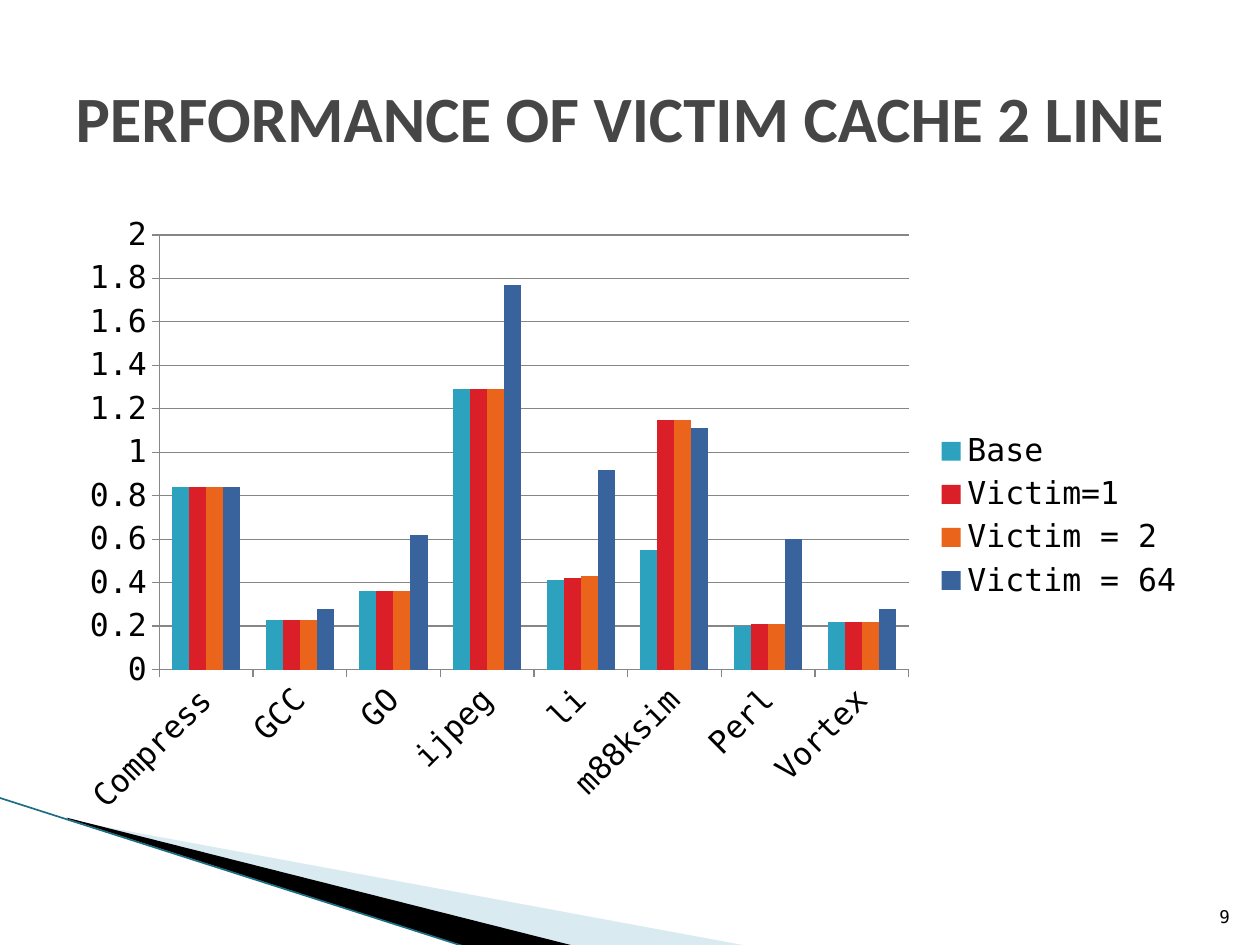
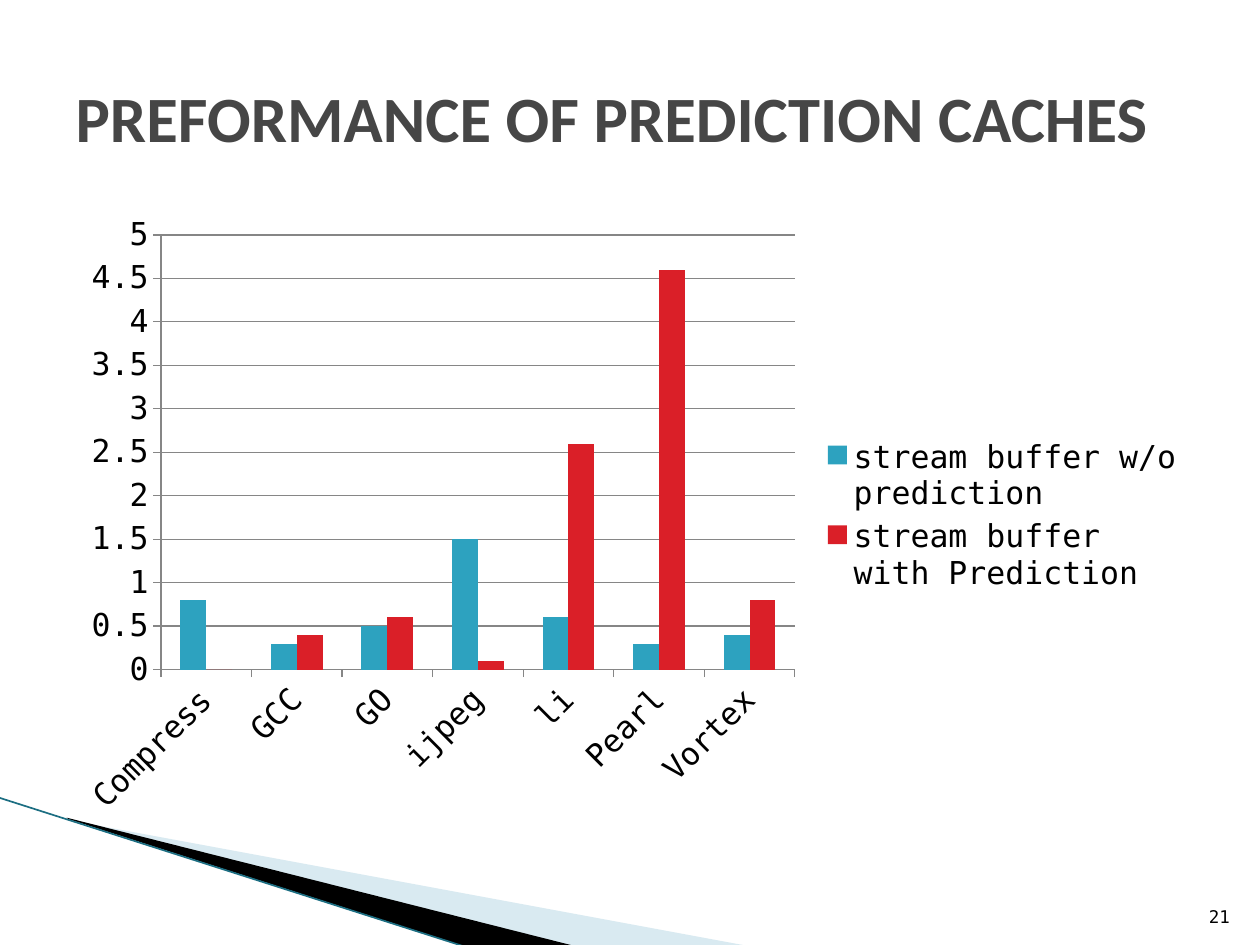
from dataclasses import dataclass

from lxml.etree import SubElement
from pptx import Presentation
from pptx.chart.data import CategoryChartData
from pptx.dml.color import RGBColor
from pptx.enum.chart import XL_CHART_TYPE as ChartType, XL_LEGEND_POSITION as LegendPos
from pptx.enum.shapes import MSO_CONNECTOR as Connector
from pptx.enum.text import MSO_ANCHOR as Anchor, MSO_AUTO_SIZE as AutoSize, PP_ALIGN as Align
from pptx.oxml.ns import qn
from pptx.util import Inches, Pt

INK, TITLE_GREY, GRID_GREY = "000000", "464646", "868686"
LINE_TEAL = "1C6E82"
SERIES_COLOURS = ["2DA2BF", "DA1F28", "EB641B", "39639D"]
TITLE_FONT = {"name": "Calibri", "size": Pt(36.9), "bold": True}
CHART_FONT = {"name": "DejaVu Sans Mono", "size": Pt(18)}
NUMBER_FONT = {"name": "DejaVu Sans Mono", "size": Pt(10)}


@dataclass(frozen=True)
class Wedge:
    box: tuple[float, float, float, float]
    points: list[tuple[float, float]]
    colour: str
    opacity: int = 100


@dataclass(frozen=True)
class ChartSlide:
    title: str
    number: int
    top: float
    step: float
    cats: list[str]
    series: dict[str, list[float]]


WEDGES = [
    Wedge((0.78, 5.47, 4.16, 1.58),
          [(0.55, 6.51), (5.95, 7.51), (4.56, 7.51), (0.55, 6.5)], "A0CBDC", 40),
    Wedge((-0.06, 6.33, 4.16, 0.92),
          [(0.53, 6.49), (4.57, 7.51), (3.72, 7.52), (0.54, 6.5)], INK),
]

SLIDES = [
    ChartSlide(
        "PERFORMANCE OF VICTIM CACHE 2 LINE", 9, 2, 0.2,
        ["Compress", "GCC", "GO", "ijpeg", "li", "m88ksim", "Perl", "Vortex"],
        {
            "Base": [0.84, 0.23, 0.36, 1.29, 0.41, 0.55, 0.2, 0.22],
            "Victim=1": [0.84, 0.23, 0.36, 1.29, 0.42, 1.15, 0.21, 0.22],
            "Victim = 2": [0.84, 0.23, 0.36, 1.29, 0.43, 1.15, 0.21, 0.22],
            "Victim = 64": [0.84, 0.28, 0.62, 1.77, 0.92, 1.11, 0.6, 0.28],
        },
    ),
    ChartSlide(
        "PREFORMANCE OF PREDICTION CACHES", 21, 5, 0.5,
        ["Compress", "GCC", "GO", "ijpeg", "li", "Pearl", "Vortex"],
        {
            "stream buffer w/o prediction": [0.8, 0.3, 0.5, 1.5, 0.6, 0.3, 0.4],
            "stream buffer with Prediction": [0, 0.4, 0.6, 0.1, 2.6, 4.6, 0.8],
        },
    ),
]


def rgb(colour: str) -> RGBColor:
    """Turn a hex string into a colour."""
    return RGBColor.from_string(colour)


def apply(target, values: dict) -> None:
    """Set every attribute named in a dict."""
    for name, value in values.items():
        setattr(target, name, value)


def set_font(font, values: dict, colour: str) -> None:
    """Format a font and give it a colour."""
    apply(font, values)
    font.color.rgb = rgb(colour)


def set_fill(fill, colour: str) -> None:
    """Give a solid fill."""
    fill.solid()
    fill.fore_color.rgb = rgb(colour)


def set_frame(sp, box: tuple[float, float, float, float]) -> None:
    """Give a freeform its own frame while its outline stays in place."""
    left, top, width, height = map(Inches, box)
    outline = next(sp._element.iter(qn("a:path")))
    for pt in outline.iter(qn("a:pt")):
        pt.set("x", str(int(pt.get("x")) + sp.left - left))
        pt.set("y", str(int(pt.get("y")) + sp.top - top))
    outline.set("w", str(width))
    outline.set("h", str(height))
    apply(sp, {"left": left, "top": top, "width": width, "height": height})


def add_wedge(s, wedge: Wedge) -> None:
    """Draw one sloping wedge of the corner band."""
    start, *rest = [(Inches(x), Inches(y)) for x, y in wedge.points]
    builder = s.shapes.build_freeform(*start, scale=1.0)
    builder.add_line_segments(rest, close=True)
    sp = builder.convert_to_shape()
    set_frame(sp, wedge.box)
    sp.shadow.inherit = False
    sp.line.fill.background()
    set_fill(sp.fill, wedge.colour)
    if wedge.opacity < 100:
        clr = sp.fill._xPr.find(qn("a:solidFill"))[0]
        SubElement(clr, qn("a:alpha")).set("val", str(wedge.opacity * 1000))


def add_band(s) -> None:
    """Draw the corner band shared by the slides."""
    for wedge in WEDGES:
        add_wedge(s, wedge)
    line = s.shapes.add_connector(
        Connector.STRAIGHT, Inches(-0.01), Inches(6.33), Inches(3.71), Inches(7.52))
    line.line.color.rgb = rgb(LINE_TEAL)
    line.line.width = Pt(0.95)
    SubElement(line._element.spPr, qn("a:effectLst"))


def add_title(s, text: str) -> None:
    """Place and format the title placeholder."""
    sp = s.shapes.title
    apply(sp, {"left": Inches(0.5), "top": Inches(0.3),
               "width": Inches(9), "height": Inches(1.25)})
    tf = sp.text_frame
    tf.text = text
    apply(tf, {"vertical_anchor": Anchor.MIDDLE, "auto_size": AutoSize.NONE, "word_wrap": True})
    p = tf.paragraphs[0]
    p.alignment = Align.LEFT
    set_font(p.runs[0].font, TITLE_FONT, TITLE_GREY)


def add_number(s, number: int) -> None:
    """Write the slide number in the lower right corner."""
    tf = s.shapes.add_textbox(Inches(9.46), Inches(7.01), Inches(0.4), Inches(0.4)).text_frame
    apply(tf, {"word_wrap": True, "vertical_anchor": Anchor.BOTTOM})
    p = tf.paragraphs[0]
    p.alignment = Align.RIGHT
    r = p.add_run()
    r.text = str(number)
    set_font(r.font, NUMBER_FONT, INK)


def add_column_chart(s, page: ChartSlide) -> None:
    """Add the clustered column chart with its legend."""
    data = CategoryChartData()
    data.categories = page.cats
    for name, values in page.series.items():
        data.add_series(name, values)
    chart = s.shapes.add_chart(
        ChartType.COLUMN_CLUSTERED, Inches(0.5), Inches(1.62), Inches(9), Inches(4.95), data).chart
    apply(chart, {"has_title": False, "has_legend": True})
    set_font(chart.font, CHART_FONT, INK)
    apply(chart.legend, {"position": LegendPos.RIGHT, "include_in_layout": False})

    plot = chart.plots[0]
    apply(plot, {"gap_width": 150, "overlap": 0, "vary_by_categories": False})
    for series, colour in zip(plot.series, SERIES_COLOURS):
        set_fill(series.format.fill, colour)

    cat_axis, val_axis = chart.category_axis, chart.value_axis
    apply(val_axis, {"minimum_scale": 0, "maximum_scale": page.top,
                     "major_unit": page.step, "has_major_gridlines": True})
    for part in (cat_axis, val_axis, val_axis.major_gridlines):
        part.format.line.color.rgb = rgb(GRID_GREY)
        part.format.line.width = Pt(0.75)
    for axis in (cat_axis, val_axis):
        set_font(axis.tick_labels.font, CHART_FONT, INK)
    cat_axis._element.find(qn("c:txPr")).find(qn("a:bodyPr")).set("rot", "-2700000")


def main() -> None:
    """Build and save the slides."""
    prs = Presentation()
    apply(prs, {"slide_width": Inches(10), "slide_height": Inches(7.5)})
    for page in SLIDES:
        s = prs.slides.add_slide(prs.slide_layouts.get_by_name("Title Only"))
        add_band(s)
        add_title(s, page.title)
        add_column_chart(s, page)
        add_number(s, page.number)
    prs.save("out.pptx")


if __name__ == "__main__":
    main()
